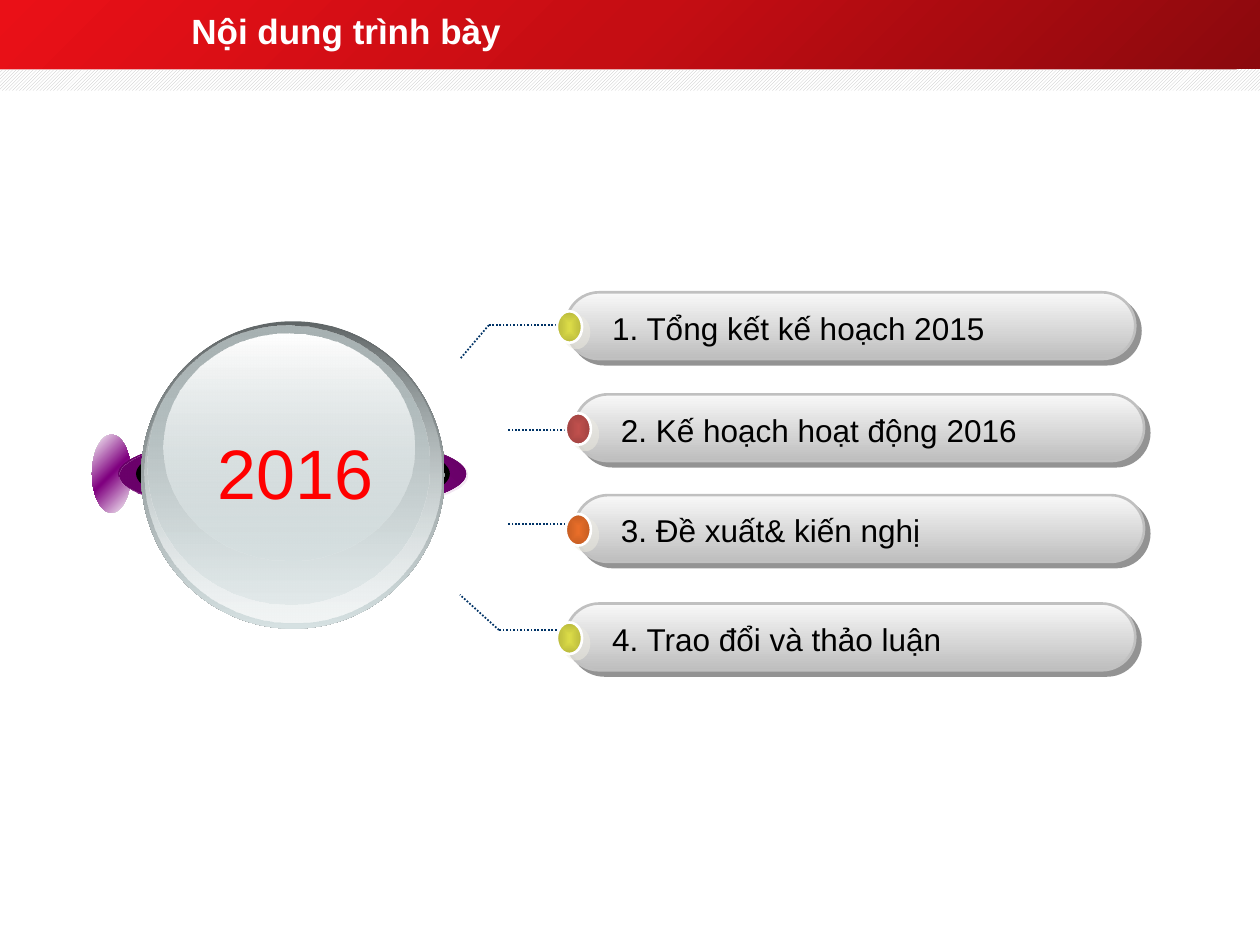
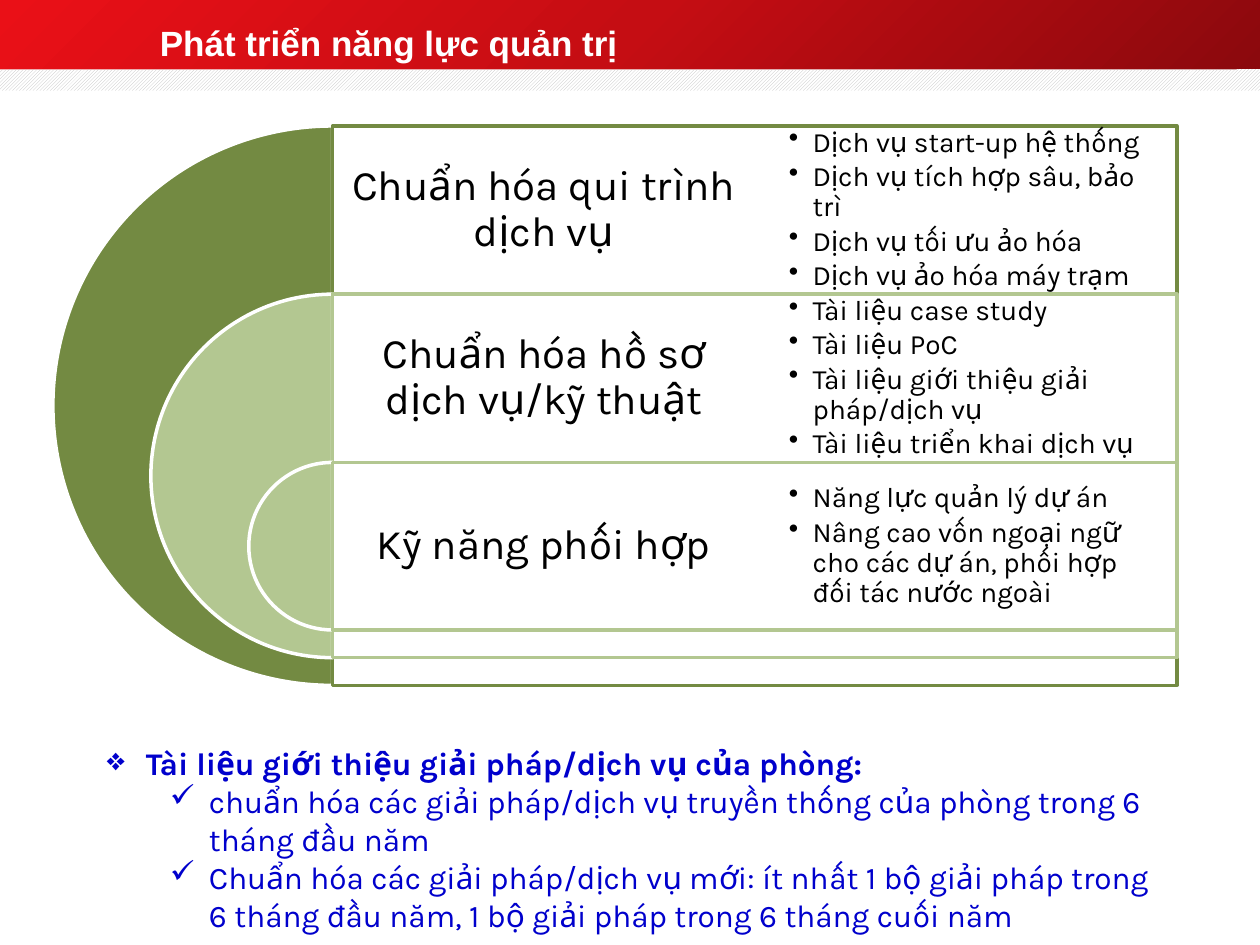
from dataclasses import dataclass
from typing import NamedTuple

from lxml.etree import SubElement
from pptx import Presentation
from pptx.dml.color import RGBColor
from pptx.enum.dml import MSO_LINE, MSO_PATTERN
from pptx.enum.shapes import MSO_CONNECTOR, MSO_SHAPE
from pptx.enum.text import MSO_ANCHOR, PP_ALIGN
from pptx.oxml import parse_xml
from pptx.oxml.ns import nsdecls, qn
from pptx.util import Inches, Pt

WHITE = RGBColor(0xFF, 0xFF, 0xFF)
BLACK = RGBColor(0, 0, 0)
SILVER = RGBColor(0xC0, 0xC0, 0xC0)
HATCH = RGBColor(0xBF, 0xBF, 0xBF)
PILL_TOP = RGBColor(0xF8, 0xF8, 0xF8)
PILL_BOTTOM = RGBColor(0xBE, 0xBE, 0xBE)
PILL_SHADOW = RGBColor(0x29, 0x29, 0x29)
DOT_SHADOW = RGBColor(0xEE, 0xEC, 0xE1)
NAVY = RGBColor(0x00, 0x33, 0x66)
RED = RGBColor(0xFF, 0, 0)
BLUE = RGBColor(0, 0, 0xCC)
DARK_RED = RGBColor(0x8B, 0x09, 0x0D)
MID_RED = RGBColor(0xC5, 0x0D, 0x13)
BRIGHT_RED = RGBColor(0xEA, 0x10, 0x17)
PURPLE = RGBColor(0x80, 0, 0x80)
DEEP_PURPLE = RGBColor(0x62, 0, 0x62)
RIM_PURPLE = RGBColor(0x69, 0, 0x69)
RIM_GREY = RGBColor(0x60, 0x66, 0x67)
GLASS_GREY = RGBColor(0xA9, 0xB3, 0xB4)
GLASS = RGBColor(0xD6, 0xE1, 0xE2)
GLASS_LIGHT = RGBColor(0xF2, 0xF5, 0xF5)
YELLOW = RGBColor(0xDC, 0xDC, 0x48)
DARK_YELLOW = RGBColor(0xB8, 0xB8, 0x3C)
BRICK = RGBColor(0xC0, 0x50, 0x4D)
DARK_BRICK = RGBColor(0xA1, 0x43, 0x41)
ORANGE = RGBColor(0xE9, 0x6E, 0x29)
DARK_ORANGE = RGBColor(0xC3, 0x5C, 0x22)
OLIVE = RGBColor(0x73, 0x8A, 0x42)
LIGHT_OLIVE = RGBColor(0xB3, 0xC7, 0x91)


class Box(NamedTuple):
    left: float
    top: float
    width: float
    height: float

    def lengths(self) -> list:
        return [Inches(value) for value in self]


class Stop(NamedTuple):
    position: int
    color: RGBColor
    opacity: int = 100


@dataclass
class Gradient:
    stops: list[Stop]
    angle: int | None = None  # None spreads from the centre


@dataclass
class TextStyle:
    size: int
    color: RGBColor = BLACK
    font: str = "Arial"
    bold: bool = False
    align: PP_ALIGN = PP_ALIGN.LEFT
    anchor: MSO_ANCHOR = MSO_ANCHOR.TOP
    inset: float | None = None
    line_spacing: float | None = None
    space_after: float = 0


@dataclass
class Line:
    text: str
    bullet: str = ""
    margin: float = 0
    hanging: float = 0
    bold: bool = False


@dataclass
class AgendaItem:
    text: str
    left: float
    top: float
    dot: tuple[RGBColor, RGBColor]
    leader: list[tuple[float, float]]


@dataclass
class Topic:
    heading: str
    color: RGBColor
    points: list[str]


TITLE = TextStyle(20, WHITE, bold=True, anchor=MSO_ANCHOR.MIDDLE)
AGENDA = TextStyle(18)
YEAR = TextStyle(40, RED)
HEADING = TextStyle(24, font="Karla", align=PP_ALIGN.CENTER,
                    anchor=MSO_ANCHOR.MIDDLE, inset=0.1, line_spacing=0.9)
POINT = TextStyle(16, font="Karla", anchor=MSO_ANCHOR.MIDDLE, inset=0.27,
                  line_spacing=0.9, space_after=2.4)
NOTE = TextStyle(18, BLUE, font="Karla")

BAND_FILL = Gradient([Stop(0, DARK_RED), Stop(50, MID_RED), Stop(100, BRIGHT_RED)], 225)
PILL_FILL = Gradient([Stop(0, PILL_TOP), Stop(100, PILL_BOTTOM)], 90)

# Layers of the glass ball, from back to front
BALL = [
    (Box(0.73, 3.45, 0.31, 0.62),
     Gradient([Stop(0, WHITE), Stop(50, PURPLE), Stop(100, WHITE)], 45)),
    (Box(0.94, 3.45, 2.76, 0.62),
     Gradient([Stop(0, DEEP_PURPLE), Stop(50, PURPLE), Stop(100, DEEP_PURPLE)], 315)),
    (Box(0.95, 3.46, 2.76, 0.62), Gradient([Stop(0, RIM_PURPLE), Stop(100, PURPLE, 0)], 45)),
    (Box(1.08, 3.45, 2.49, 0.62), BLACK),
    (Box(1.12, 2.55, 2.41, 2.44), Gradient([Stop(0, RIM_GREY), Stop(100, GLASS)], 90)),
    (Box(1.15, 2.56, 2.35, 2.38), Gradient([Stop(0, GLASS, 0), Stop(100, GLASS_LIGHT)], 90)),
    (Box(1.17, 2.58, 2.24, 2.22), Gradient([Stop(0, GLASS_GREY), Stop(100, GLASS, 48)], 90)),
    (Box(1.3, 2.65, 1.99, 1.8), Gradient([Stop(0, WHITE), Stop(100, GLASS, 38)], 90)),
]

AGENDA_ITEMS = [
    AgendaItem("2. Kế hoạch hoạt động 2016", 4.56, 3.13, (BRICK, DARK_BRICK),
               [(4.57, 3.41), (4.03, 3.41)]),
    AgendaItem("3. Đề xuất& kiến nghị", 4.56, 3.93, (ORANGE, DARK_ORANGE),
               [(4.57, 4.16), (4.03, 4.16)]),
    AgendaItem("1. Tổng kết kế hoạch 2015", 4.49, 2.32, (YELLOW, DARK_YELLOW),
               [(4.5, 2.58), (3.88, 2.58), (3.65, 2.85)]),
    AgendaItem("4. Trao đổi và thảo luận", 4.49, 4.79, (YELLOW, DARK_YELLOW),
               [(4.5, 5), (3.96, 5), (3.65, 4.72)]),
]

TOPICS = [
    Topic("Chuẩn hóa qui trình dịch vụ", OLIVE,
          ["Dịch vụ start-up hệ thống", "Dịch vụ tích hợp sâu, bảo trì",
           "Dịch vụ tối ưu ảo hóa", "Dịch vụ ảo hóa máy trạm"]),
    Topic("Chuẩn hóa hồ sơ dịch vụ/kỹ thuật", LIGHT_OLIVE,
          ["Tài liệu case study", "Tài liệu PoC",
           "Tài liệu giới thiệu giải pháp/dịch vụ", "Tài liệu triển khai dịch vụ"]),
    Topic("Kỹ năng phối hợp", LIGHT_OLIVE,
          ["Năng lực quản lý dự án",
           "Nâng cao vốn ngoại ngữ cho các dự án, phối hợp đối tác nước ngoài"]),
]

NOTES = [
    Line("Tài liệu giới thiệu giải pháp/dịch vụ của phòng:", "❖", 0.31, 0.31, bold=True),
    Line("chuẩn hóa các giải pháp/dịch vụ truyền thống của phòng trong 6 tháng đầu năm",
         "✓", 0.81, 0.31),
    Line("Chuẩn hóa các giải pháp/dịch vụ mới: ít nhất 1 bộ giải pháp trong 6 tháng "
         "đầu năm, 1 bộ giải pháp trong 6 tháng cuối năm", "✓", 0.81, 0.31),
]


def apply_gradient(shape, gradient: Gradient) -> None:
    stops = "".join(
        f'<a:gs pos="{stop.position * 1000}"><a:srgbClr val="{stop.color}">'
        f'<a:alpha val="{stop.opacity * 1000}"/></a:srgbClr></a:gs>'
        for stop in gradient.stops)
    if gradient.angle is None:
        course = ('<a:path path="shape"><a:fillToRect l="50000" t="50000" '
                  'r="50000" b="50000"/></a:path>')
    else:
        course = f'<a:lin ang="{gradient.angle * 60000}" scaled="0"/>'
    fill = parse_xml(f'<a:gradFill {nsdecls("a")} rotWithShape="1">'
                     f'<a:gsLst>{stops}</a:gsLst>{course}</a:gradFill>')
    shape.fill.background()
    properties = shape.element.spPr
    properties.replace(properties.find(qn("a:noFill")), fill)


def add_shape(slide, kind, box: Box, fill, line: RGBColor | None = None, width: float = 1.5):
    shape = slide.shapes.add_shape(kind, *box.lengths())
    shape.shadow.inherit = False
    if isinstance(fill, Gradient):
        apply_gradient(shape, fill)
    else:
        shape.fill.solid()
        shape.fill.fore_color.rgb = fill
    if line is None:
        shape.line.fill.background()
    else:
        shape.line.color.rgb = line
        shape.line.width = Pt(width)
    return shape


def cast_shadow(shape, color: RGBColor, distance: float, angle: int) -> None:
    effects = shape.element.spPr.find(qn("a:effectLst"))
    effects.append(parse_xml(
        f'<a:outerShdw {nsdecls("a")} dist="{Pt(distance)}" dir="{angle * 60000}" '
        f'algn="ctr" rotWithShape="0"><a:srgbClr val="{color}"><a:alpha val="50000"/>'
        f'</a:srgbClr></a:outerShdw>'))


def add_text(slide, box: Box, lines: list[Line], style: TextStyle) -> None:
    frame = slide.shapes.add_textbox(*box.lengths()).text_frame
    frame.word_wrap = True
    frame.vertical_anchor = style.anchor
    if style.inset is not None:
        frame.margin_left = frame.margin_right = Inches(style.inset)
        frame.margin_top = frame.margin_bottom = Inches(style.inset)
    for index, line in enumerate(lines):
        para = frame.add_paragraph() if index else frame.paragraphs[0]
        para.text = line.text
        para.alignment = style.align
        para.space_after = Pt(style.space_after)
        if style.line_spacing:
            para.line_spacing = style.line_spacing
        if line.bullet:
            properties = para._p.get_or_add_pPr()
            properties.set("marL", str(Inches(line.margin)))
            properties.set("indent", str(-Inches(line.hanging)))
            SubElement(properties, qn("a:buChar")).set("char", line.bullet)
        para.font.size = Pt(style.size)
        para.font.name = style.font
        para.font.bold = style.bold or line.bold
        para.font.color.rgb = style.color


def add_leader(slide, start: tuple[float, float], end: tuple[float, float]) -> None:
    ends = [Inches(value) for value in (*start, *end)]
    leader = slide.shapes.add_connector(MSO_CONNECTOR.STRAIGHT, *ends)
    leader.line.color.rgb = NAVY
    leader.line.width = Pt(1)
    leader.line.dash_style = MSO_LINE.ROUND_DOT
    SubElement(leader.element.spPr, qn("a:effectLst"))


def add_titled_slide(deck, title: str, left: float, top: float):
    slide = deck.slides.add_slide(deck.slide_layouts[6])
    add_shape(slide, MSO_SHAPE.RECTANGLE, Box(0, 0, 10, 0.55), BAND_FILL)
    hatch = add_shape(slide, MSO_SHAPE.RECTANGLE, Box(0, 0.55, 10, 0.17), WHITE)
    hatch.fill.patterned()
    hatch.fill.pattern = MSO_PATTERN.DARK_UPWARD_DIAGONAL
    hatch.fill.fore_color.rgb = HATCH
    hatch.fill.back_color.rgb = WHITE
    add_text(slide, Box(left, top, 7.58, 0.48), [Line(title)], TITLE)
    return slide


def add_agenda_item(slide, item: AgendaItem) -> None:
    for start, end in zip(item.leader, item.leader[1:]):
        add_leader(slide, start, end)
    pill = add_shape(slide, MSO_SHAPE.ROUNDED_RECTANGLE,
                     Box(item.left, item.top, 4.52, 0.53), PILL_FILL, SILVER)
    pill.adjustments[0] = 0.5
    cast_shadow(pill, PILL_SHADOW, 4.2, 45)
    add_text(slide, Box(item.left + 0.27, item.top + 0.08, 3.6, 0.4),
             [Line(item.text)], AGENDA)
    center, edge = item.dot
    dot = add_shape(slide, MSO_SHAPE.OVAL, Box(item.left - 0.07, item.top + 0.15, 0.2, 0.25),
                    Gradient([Stop(0, center), Stop(100, edge)]), WHITE)
    cast_shadow(dot, DOT_SHADOW, 5, 37)


def add_topics(slide) -> None:
    axis, half_width, row_height = 2.64, 3.35, 1.33
    tops = [1 + 1.335 * index for index in range(len(TOPICS))]
    # Nested half discs, each with its frame and heading
    for index, (topic, top) in enumerate(zip(TOPICS, tops)):
        size = 4.44 - 1.555 * index
        disc = add_shape(slide, MSO_SHAPE.PIE, Box(axis - size / 2, top, size, size),
                         topic.color, WHITE, 2)
        disc.adjustments[0], disc.adjustments[1] = 54, 162
        add_shape(slide, MSO_SHAPE.RECTANGLE, Box(axis, top, 2 * half_width, size),
                  WHITE, topic.color, 2)
        add_text(slide, Box(axis, top, half_width, row_height), [Line(topic.heading)], HEADING)
    for topic, top in zip(TOPICS, tops):
        add_text(slide, Box(axis + half_width, top, half_width, row_height),
                 [Line(point, "•", 0.19, 0.19) for point in topic.points], POINT)


def main() -> None:
    deck = Presentation()
    deck.slide_width, deck.slide_height = Inches(10), Inches(7.5)

    # Agenda
    agenda = add_titled_slide(deck, "Nội dung trình bày", 1.42, 0)
    for box, fill in BALL:
        add_shape(agenda, MSO_SHAPE.OVAL, box, fill)
    for item in AGENDA_ITEMS:
        add_agenda_item(agenda, item)
    add_text(agenda, Box(1.63, 3.36, 1.57, 0.77), [Line("2016")], YEAR)

    # Management capability
    capability = add_titled_slide(deck, "Phát triển năng lực quản trị", 1.17, 0.1)
    add_topics(capability)
    add_text(capability, Box(0.75, 5.86, 8.58, 1.6), NOTES, NOTE)

    deck.save("out.pptx")


if __name__ == "__main__":
    main()
